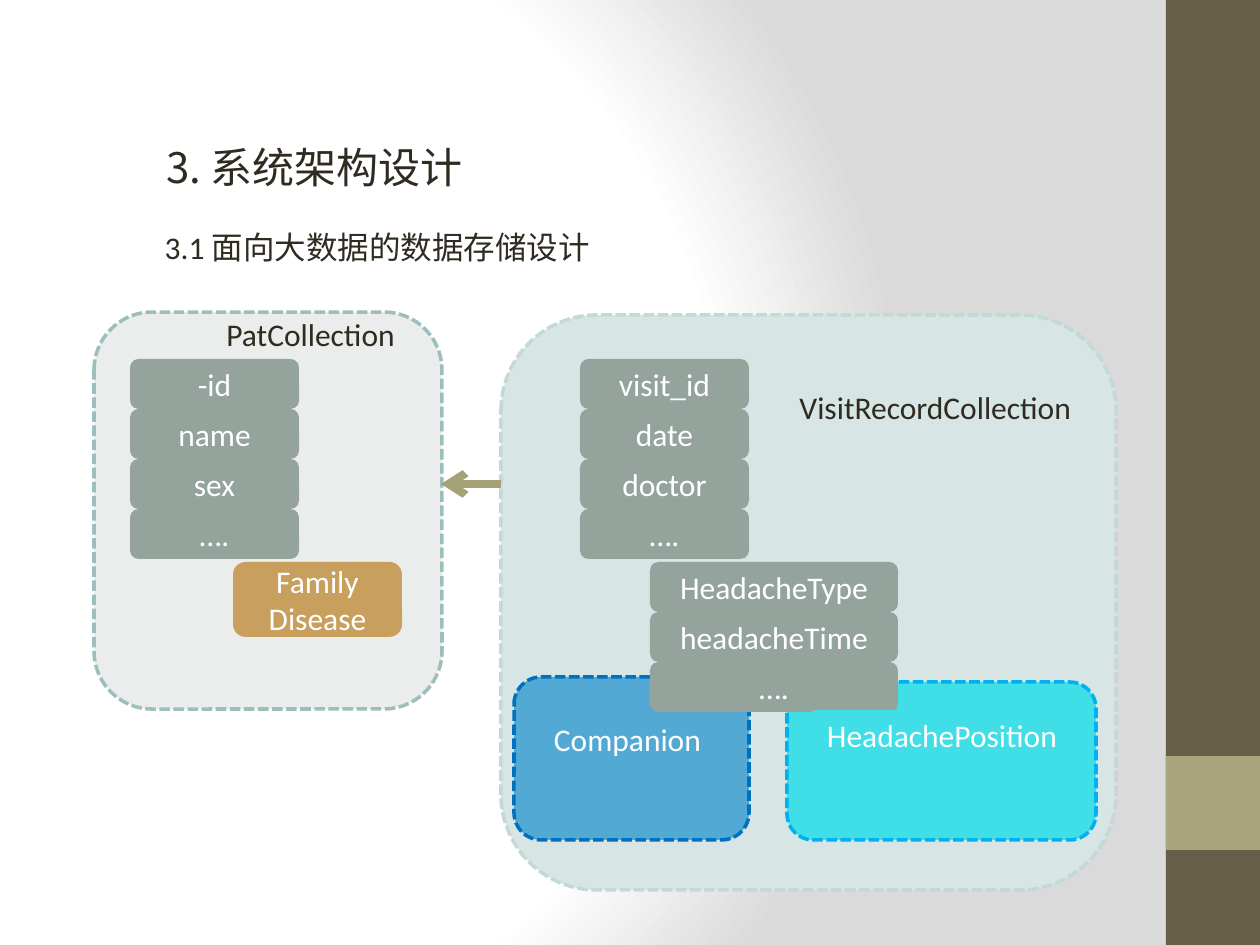
from lxml.etree import SubElement
from pptx import Presentation
from pptx.dml.color import RGBColor
from pptx.enum.dml import MSO_LINE
from pptx.enum.shapes import MSO_CONNECTOR, MSO_SHAPE
from pptx.enum.text import MSO_ANCHOR as Anchor, PP_ALIGN as Align
from pptx.oxml import parse_xml
from pptx.oxml.ns import nsdecls, qn
from pptx.util import Pt

PX = 914400 / 126
LATIN, CJK = "Calibri", "Noto Sans CJK SC"
INK, WHITE, FIELD = "2F2B20", "FFFFFF", "95A39D"
COMPANION, POSITION = "52A9D4", "40DEE6"
FIELD_HEIGHT = 50

TITLE = ("3. 系统架构设计", (154, 135, 456, 63), 24, CJK)
SUBTITLE = ("3.1 面向大数据的数据存储设计", (152, 222, 774, 50), 18, LATIN)
SIDEBAR = [((1166, 0, 94, 945), "675E47"), ((1166, 756, 94, 94), "A9A57C")]
FRAMES = [
    ((94, 312, 348, 397), "EAEDEB", "9CBEBD"),
    ((501, 315, 615, 575), "D7E5E5", "C4D8D7"),
    ((514, 677, 235, 163), COMPANION, "0070C0"),
    ((787, 682, 309, 158), POSITION, "00B0F0"),
]
COLUMNS = [
    (130, 359, 169, ["-id", "name", "sex", "…."]),
    (580, 359, 169, ["visit_id", "date", "doctor", "…."]),
    (650, 562, 248, ["HeadacheType", "headacheTime", "…."]),
]
GROUPS = [
    ("HeadachePosition", (808, 710, 268, 50), POSITION),
    ("Companion", (523, 714, 209, 50), COMPANION),
    ("Family\nDisease", (233, 562, 169, 75), "C89F5D"),
]
CAPTIONS = [
    ("PatCollection", (214, 309, 208, 50)),
    ("VisitRecordCollection", (787, 382, 309, 50)),
]
ARROW = ((501, 484), (441, 484), "A6A278")


def emu(values):
    return [round(value * PX) for value in values]


def colour(text):
    return RGBColor.from_string(text)


def write(box, text, size, font, ink, align=Align.LEFT, anchor=Anchor.TOP):
    frame = box.text_frame
    frame.text = text
    frame.word_wrap = True
    frame.vertical_anchor = anchor
    for para in frame.paragraphs:
        para.alignment = align
        para.space_before = Pt(0)
        for span in para.runs:
            span.font.size = Pt(size)
            span.font.name = font
            span.font.color.rgb = colour(ink)
            SubElement(span.font._element, qn("a:ea"), typeface=CJK)


def add_box(page, area, fill, line=None, kind=MSO_SHAPE.ROUNDED_RECTANGLE):
    box = page.shapes.add_shape(kind, *emu(area))
    box.shadow.inherit = False
    box.fill.solid()
    box.fill.fore_color.rgb = colour(fill)
    if line:
        box.line.color.rgb = colour(line)
        box.line.width = Pt(2)
        box.line.dash_style = MSO_LINE.SQUARE_DOT
        box.line._ln.find(qn("a:prstDash")).set("val", "sysDash")
    else:
        box.line.fill.background()
    return box


def add_label(page, text, area, fill):
    write(add_box(page, area, fill), text, 18, LATIN, WHITE, Align.CENTER, Anchor.MIDDLE)


def fill_placeholder(box, text, area, size, font):
    box.left, box.top, box.width, box.height = emu(area)
    write(box, text, size, font, INK)


def paint_background(page):
    page.background.fill.solid()
    solid = page.background._cSld.bg.bgPr.find(qn("a:solidFill"))
    stops = "".join(
        f'<a:gs pos="{place}"><a:srgbClr val="{value}"/></a:gs>'
        for place, value in [(0, WHITE), (75000, WHITE), (100000, "DADADA")]
    )
    solid.getparent().replace(solid, parse_xml(
        f'<a:gradFill {nsdecls("a")} rotWithShape="1"><a:gsLst>{stops}</a:gsLst>'
        '<a:path path="circle"><a:fillToRect l="20000" t="50000" r="100000" b="50000"/>'
        "</a:path></a:gradFill>"
    ))


def add_arrow(page, start, end, ink):
    arrow = page.shapes.add_connector(MSO_CONNECTOR.STRAIGHT, *emu(start + end))
    arrow.line.color.rgb = colour(ink)
    arrow.line.width = Pt(4.5)
    SubElement(arrow.line._ln, qn("a:tailEnd"), type="arrow")
    SubElement(arrow._element.spPr, qn("a:effectLst"))


def main():
    deck = Presentation()
    deck.slide_width, deck.slide_height = emu((1260, 945))
    page = deck.slides.add_slide(deck.slide_layouts[1])
    paint_background(page)

    title, subtitle = page.placeholders
    fill_placeholder(title, *TITLE)
    fill_placeholder(subtitle, *SUBTITLE)
    bullet = subtitle.text_frame.paragraphs[0]._p.get_or_add_pPr()
    bullet.set("marL", "0")
    bullet.set("indent", "0")
    SubElement(bullet, qn("a:buNone"))

    for area, fill in SIDEBAR:
        add_box(page, area, fill, kind=MSO_SHAPE.RECTANGLE)
    for area, fill, line in FRAMES:
        add_box(page, area, fill, line)
    for left, top, width, fields in COLUMNS:
        for row, field in enumerate(fields):
            area = (left, top + row * FIELD_HEIGHT, width, FIELD_HEIGHT)
            add_label(page, field, area, FIELD)
    for text, area, fill in GROUPS:
        add_label(page, text, area, fill)
    for text, area in CAPTIONS:
        write(page.shapes.add_textbox(*emu(area)), text, 18, LATIN, INK)
    add_arrow(page, *ARROW)
    deck.save("out.pptx")


if __name__ == "__main__":
    main()
